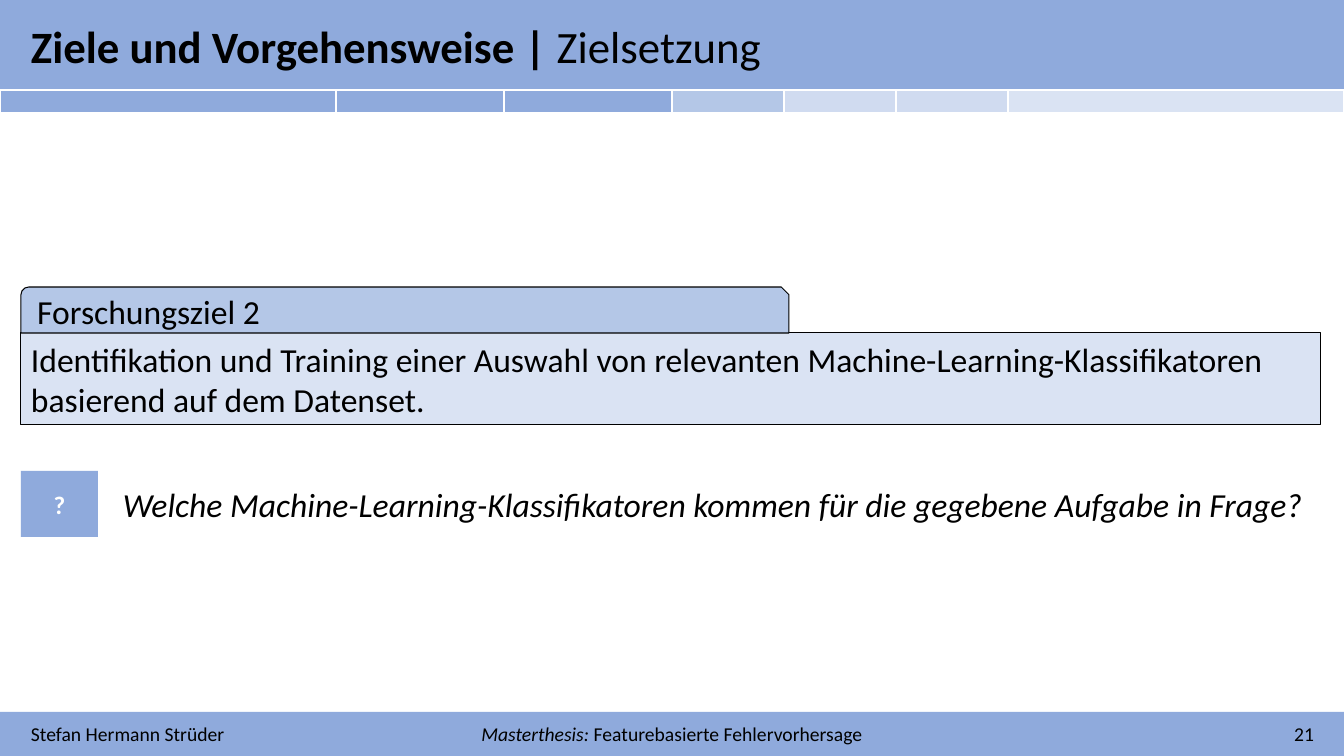
from lxml import etree
from pptx import Presentation, util as u
from pptx.dml.color import RGBColor
from pptx.enum import shapes, text
from pptx.oxml.ns import qn

BLACK = RGBColor(0x00, 0x00, 0x00)
WHITE = RGBColor(0xFF, 0xFF, 0xFF)
BLUE = RGBColor(0x8F, 0xAA, 0xDC)
MID = RGBColor(0xB4, 0xC7, 0xE7)
SOFT = RGBColor(0xD0, 0xDB, 0xF0)
PALE = RGBColor(0xDA, 0xE3, 0xF3)

TITLE = [("Ziele und Vorgehensweise | ", {"bold": True}), ("Zielsetzung", {})]
AUTHOR = [("Stefan Hermann Strüder", {})]
THESIS = [("Masterthesis: ", {"italic": True}), ("Featurebasierte Fehlervorhersage", {})]
PAGE = [("21", {})]
GOAL_NAME = [("Forschungsziel 2", {})]
GOAL = [("Identifikation und Training einer Auswahl von relevanten "
         "Machine-Learning-Klassifikatoren basierend auf dem Datenset.", {})]
MARK = [("?", {"bold": True})]
QUESTION = [("Welche Machine-Learning-Klassifikatoren kommen für die gegebene "
             "Aufgabe in Frage?", {"italic": True})]
STRIP = [(336, BLUE), (168, BLUE), (168, BLUE), (112, MID),
         (112, SOFT), (112, SOFT), (336, PALE)]

W, H = 1344, 756
HEADER_H, STRIP_H, FOOTER_H = 90, 23, 44
LEFT, GOAL_W = 21, 1300
FOOTER_Y = H - FOOTER_H
LEFT_AL, CENTER, RIGHT = text.PP_ALIGN.LEFT, text.PP_ALIGN.CENTER, text.PP_ALIGN.RIGHT
RECT = shapes.MSO_SHAPE.RECTANGLE
TAB = shapes.MSO_SHAPE.SNIP_ROUND_RECTANGLE


def px(n):
    return u.Emu(round(n * 914400 / 100.8))


def write(sp, runs, size, align=LEFT_AL, color=BLACK, inset=10, wrap=True):
    tf = sp.text_frame
    tf.word_wrap = wrap
    tf.vertical_anchor = text.MSO_ANCHOR.MIDDLE
    tf.margin_left = tf.margin_right = px(inset)
    tf.margin_top = tf.margin_bottom = px(5)
    p = tf.paragraphs[0]
    p.alignment = align
    p.font.name, p.font.size, p.font.color.rgb = "Calibri", u.Pt(size), color
    for words, style in runs:
        r = p.add_run()
        r.text = words
        for key, value in style.items():
            setattr(r.font, key, value)


def add_box(s, kind, at, fill, outlined=False):
    sp = s.shapes.add_shape(kind, *map(px, at))
    sp.shadow.inherit = False
    sp.fill.solid()
    sp.fill.fore_color.rgb = fill
    if outlined:
        sp.line.color.rgb = BLACK
        sp.line.width = u.Pt(0.75)
    else:
        sp.line.fill.background()
    return sp


def add_text(s, at, runs, size, **options):
    write(s.shapes.add_textbox(*map(px, at)), runs, size, **options)


def add_strip(s):
    table = s.shapes.add_table(1, len(STRIP), 0, px(HEADER_H), px(W), px(STRIP_H)).table
    table.first_row = table.horz_banding = False
    for column, cell, (width, fill) in zip(table.columns, table.rows[0].cells, STRIP):
        column.width = px(width)
        cell.fill.solid()
        cell.fill.fore_color.rgb = fill
        cell.margin_top = cell.margin_bottom = 0
        p = cell.text_frame.paragraphs[0]
        etree.SubElement(p._p, qn("a:endParaRPr"), sz="800")


def main():
    prs = Presentation()
    prs.slide_width, prs.slide_height = px(W), px(H)
    s = prs.slides.add_slide(prs.slide_layouts[6])

    add_box(s, RECT, (0, FOOTER_Y, W, FOOTER_H), BLUE)
    add_box(s, RECT, (0, 0, W, HEADER_H), BLUE)
    for x, width, runs, align in [(LEFT, 362, AUTHOR, LEFT_AL),
                                  (962, 362, PAGE, RIGHT),
                                  (466, 412, THESIS, CENTER)]:
        add_text(s, (x, FOOTER_Y + 5, width, 34), runs, 14, align=align)

    goal_at = (LEFT, 333, GOAL_W, 92)
    write(add_box(s, RECT, goal_at, PALE, outlined=True), GOAL, 24)
    tab = add_box(s, TAB, (LEFT, 287, 768, 46), MID, outlined=True)
    write(tab, GOAL_NAME, 24, inset=14)

    write(add_box(s, RECT, (LEFT, 471, 77, 66), BLUE), MARK, 18, align=CENTER, color=WHITE)
    add_text(s, (113, 479, 1208, 50), QUESTION, 24, wrap=False)
    add_text(s, (LEFT, 13, 757, 65), TITLE, 32, wrap=False)
    add_strip(s)
    prs.save("out.pptx")


if __name__ == "__main__":
    main()
